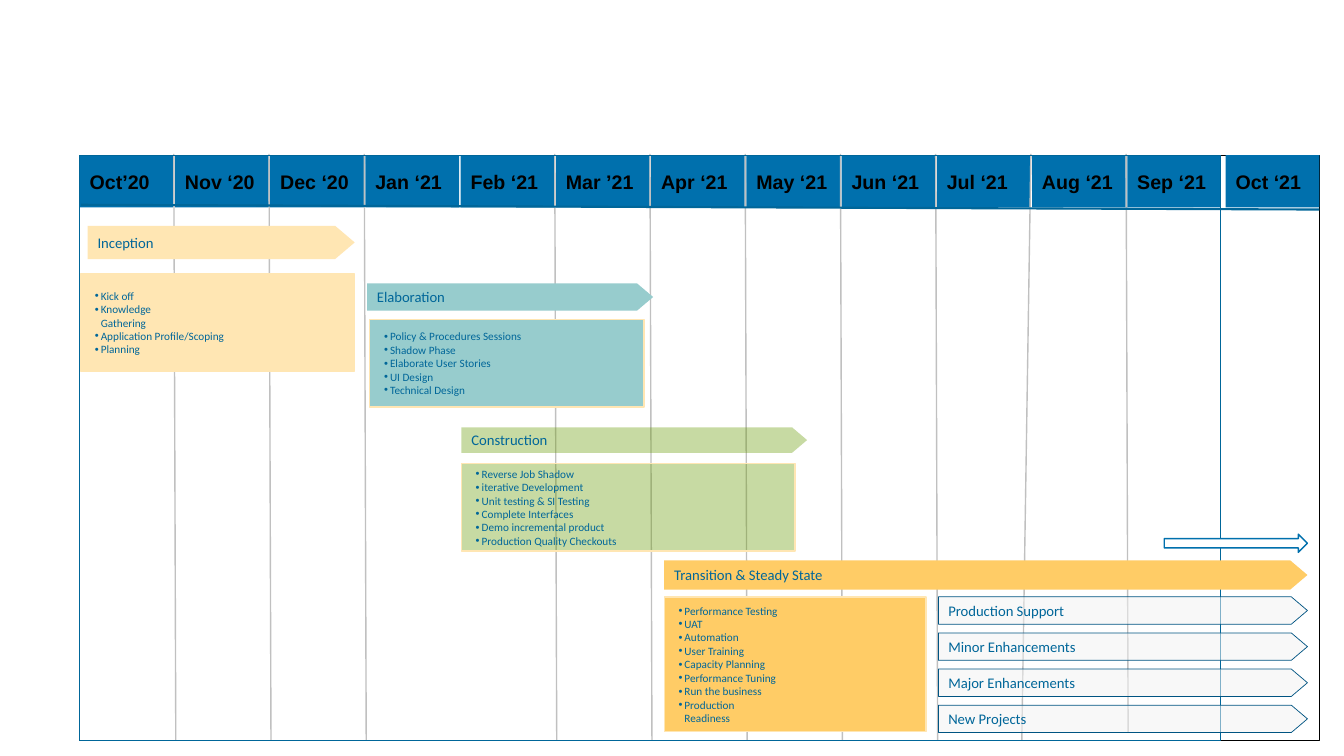
from dataclasses import dataclass

from lxml.etree import SubElement
from pptx import Presentation
from pptx.dml.color import RGBColor
from pptx.enum.shapes import MSO_CONNECTOR, MSO_SHAPE
from pptx.enum.text import MSO_ANCHOR, PP_ALIGN
from pptx.oxml.ns import qn
from pptx.util import Cm, Pt

TEXT_BLUE = "006699"
HEADER_BLUE = "0070AD"
CREAM = "FFE6B3"
MONTHS = ["Oct’20", "Nov ‘20", "Dec ‘20", "Jan ‘21", "Feb ‘21", "Mar ’21", "Apr ‘21",
          "May ‘21", "Jun ‘21", "Jul ‘21", "Aug ‘21", "Sep ‘21", "Oct ‘21"]
MONTH_PITCH = 2.4
HEADER_HEIGHT = 1.32


@dataclass
class Box:
    left: float
    top: float
    width: float
    height: float

    def inside(self, left, top, width, height):
        return Box(self.left + left, self.top + top, width, height)


def color(value):
    return RGBColor.from_string(value)


def add_box(slide, kind, box, fill=None, line=None, line_width=1, alpha=None):
    shape = slide.shapes.add_shape(
        kind, Cm(box.left), Cm(box.top), Cm(box.width), Cm(box.height))
    shape.shadow.inherit = False
    if fill:
        shape.fill.solid()
        shape.fill.fore_color.rgb = color(fill)
    else:
        shape.fill.background()
    if alpha:
        fill_color = shape.fill._xPr.find(qn("a:solidFill"))[0]
        SubElement(fill_color, qn("a:alpha"), val=str(alpha * 1000))
    if line:
        shape.line.color.rgb = color(line)
        shape.line.width = Pt(line_width)
    else:
        shape.line.fill.background()
    return shape


def add_line(slide, box, start, end, line, width):
    connector = slide.shapes.add_connector(
        MSO_CONNECTOR.STRAIGHT, Cm(box.left + start[0]), Cm(box.top + start[1]),
        Cm(box.left + end[0]), Cm(box.top + end[1]))
    connector.line.color.rgb = color(line)
    connector.line.width = Pt(width)
    SubElement(connector._element.spPr, qn("a:effectLst"))


def write(shape, lines, size, font="Calibri", text_color=TEXT_BLUE, bold=False,
          bullets=False, inset=0.25):
    frame = shape.text_frame
    frame.word_wrap = True
    frame.vertical_anchor = MSO_ANCHOR.MIDDLE
    frame.margin_left = Cm(inset)
    frame.margin_right = Cm(0)
    frame.margin_top = frame.margin_bottom = Cm(inset / 2)
    frame.text = "\n".join(lines)
    for paragraph in frame.paragraphs:
        paragraph.alignment = PP_ALIGN.LEFT
        if bullets:
            properties = paragraph._p.get_or_add_pPr()
            properties.set("marL", str(Cm(0.15)))
            properties.set("indent", str(-Cm(0.15)))
            SubElement(properties, qn("a:buFont"), typeface="Arial")
            SubElement(properties, qn("a:buChar"), char="•")
        paragraph.font.size = Pt(size)
        paragraph.font.name = font
        paragraph.font.bold = bold
        paragraph.font.color.rgb = color(text_color)


def add_month(slide, box, index, left):
    cell = add_box(slide, MSO_SHAPE.RECTANGLE,
                   box.inside(left, 0, 2.36, HEADER_HEIGHT), HEADER_BLUE)
    write(cell, [MONTHS[index]], 14, "Arial", "000000", bold=True)


def draw_calendar(slide, box):
    add_box(slide, MSO_SHAPE.RECTANGLE, box, "FFFFFF", "000000", 0.5)
    last = len(MONTHS) - 1
    for index in range(last):
        add_month(slide, box, index, index * MONTH_PITCH)
    add_month(slide, box, last, box.width - 2.36)
    bottom_shifts = {10: -0.23}
    bottom_gaps = {11: 0.23}
    for index in range(1, last):
        if MONTHS[index] == "Feb ‘21":
            continue
        x = index * MONTH_PITCH - 0.03
        end = (x + bottom_shifts.get(index, 0.05), box.height - bottom_gaps.get(index, 0))
        add_line(slide, box, (x, -0.03), end, "C0C0C0", 1)
    add_line(slide, box, (0.03, 1.25), (box.width, 1.37), TEXT_BLUE, 1.5)
    add_box(slide, MSO_SHAPE.RECTANGLE, box.inside(0, 0, 28.75, box.height),
            line=TEXT_BLUE, line_width=0.5)


def draw_banner(slide, box, label, fill, alpha=None, line=None):
    banner = add_box(slide, MSO_SHAPE.PENTAGON, box, fill, line, 0.5, alpha)
    banner.adjustments[0] = 0.589
    write(banner, [label], 10.5)


def draw_phase(slide, banner_box, detail_box, label, tasks, fill, alpha=None):
    details = add_box(slide, MSO_SHAPE.RECTANGLE, detail_box, fill, CREAM, alpha=alpha)
    write(details, tasks, 8, bullets=True, inset=0.36)
    draw_banner(slide, banner_box, label, fill, alpha)


def draw_streams(slide, box, labels):
    pitch = 0.91
    for index, label in enumerate(labels):
        draw_banner(slide, box.inside(0, index * pitch, box.width, 0.69),
                    label, "F2F2F2", 53, "005482")


def main():
    presentation = Presentation()
    presentation.slide_width = Cm(33.87)
    presentation.slide_height = Cm(19.05)
    slide = presentation.slides.add_slide(presentation.slide_layouts[6])

    calendar = Box(2.01, 3.91, 31.24, 14.76)
    draw_calendar(slide, calendar)
    phases = [
        ((0.2, 1.78, 6.73, 0.84), (0.02, 3, 6.91, 2.44), "Inception",
         ["Kick off", "Knowledge\vGathering", "Application Profile/Scoping", "Planning"],
         CREAM, None),
        ((7.24, 3.23, 7.21, 0.69), (7.31, 4.14, 6.91, 2.21), "Elaboration",
         ["Policy & Procedures Sessions", "Shadow Phase", "Elaborate User Stories",
          "UI Design", "Technical Design"],
         "97CCCD", None),
        ((9.62, 6.86, 8.71, 0.64), (9.62, 7.77, 8.41, 2.21), "Construction",
         ["Reverse Job Shadow", "iterative Development", "Unit testing & SI Testing",
          "Complete Interfaces", "Demo incremental product", "Production Quality Checkouts"],
         "669900", 36),
        ((14.73, 10.21, 16.21, 0.74), (14.73, 11.13, 6.6, 3.4), "Transition & Steady State",
         ["Performance Testing", "UAT", "Automation", "User Training", "Capacity Planning",
          "Performance Tuning", "Run the business", "Production\vReadiness"],
         "FFCC66", None),
    ]
    for banner, details, label, tasks, fill, alpha in phases:
        draw_phase(slide, calendar.inside(*banner), calendar.inside(*details),
                   label, tasks, fill, alpha)
    draw_streams(slide, calendar.inside(21.64, 11.13, 9.3, 3.42),
                 ["Production Support", "Minor Enhancements", "Major Enhancements",
                  "New Projects"])
    add_box(slide, MSO_SHAPE.RIGHT_ARROW, calendar.inside(27.33, 9.55, 3.61, 0.46),
            "FFFFFF", HEADER_BLUE)
    presentation.save("out.pptx")


if __name__ == "__main__":
    main()
